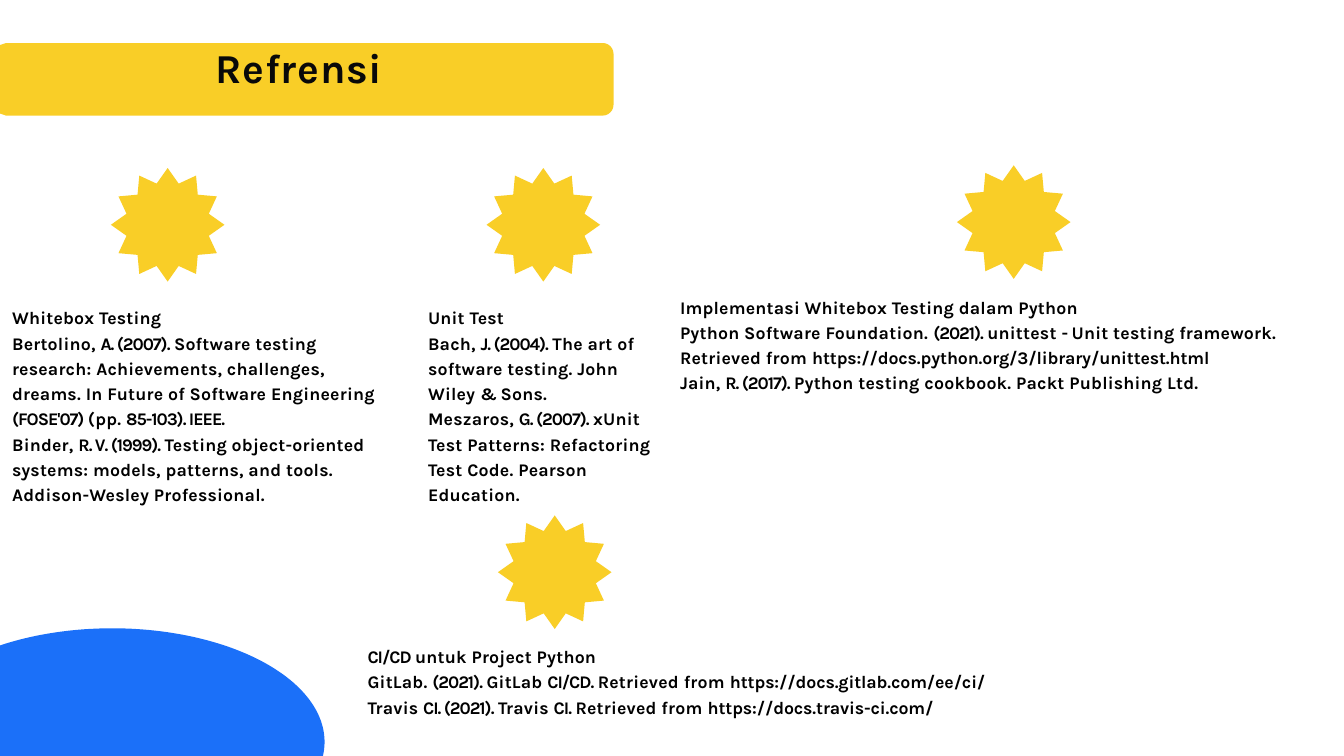
from dataclasses import dataclass
from itertools import groupby
from math import acos, asin, cos, pi, sin

from pptx import Presentation
from pptx.dml.color import RGBColor
from pptx.enum.shapes import MSO_SHAPE as Preset
from pptx.enum.text import MSO_ANCHOR as Anchor, MSO_AUTO_SIZE as AutoSize, PP_ALIGN as Align
from pptx.util import Inches, Pt


@dataclass(frozen=True)
class Theme:
    font: str = "Karla"
    yellow: RGBColor = RGBColor(0xF9, 0xCE, 0x27)
    blue: RGBColor = RGBColor(0x1B, 0x70, 0xF9)
    title_ink: RGBColor = RGBColor(0x09, 0x09, 0x09)
    body_ink: RGBColor = RGBColor(0, 0, 0)
    title_size: int = 44
    body_size: int = 19
    title_spacing: float = 0.75
    word_spacing: float = 0.25
    capital_spacing: float = -1.1
    link_spacing: float = -0.1
    line_spacing: float = 1.19


THEME = Theme()
WIDTH, HEIGHT = 20, 11.25
STAR_SIZE = 1.69

STARS = [(1.65, 2.5), (7.41, 7.67), (7.24, 2.5), (14.24, 2.46)]

REFERENCES = [
    ((0.17, 4.5, 5.85, 3.03), [
        ["Whitebox Testing"],
        ["Bertolino, A. (2007). Software testing",
         "research: Achievements, challenges,",
         "dreams. In Future of Software Engineering",
         "(FOSE'07) (pp. 85-103). IEEE."],
        ["Binder, R. V. (1999). Testing object-oriented"],
        ["systems: models, patterns, and tools.",
         "Addison-Wesley Professional."],
    ]),
    ((6.36, 4.5, 3.59, 3.03), [
        ["Unit Test"],
        ["Bach, J. (2004). The art of",
         "software testing. John",
         "Wiley & Sons."],
        ["Meszaros, G. (2007). xUnit"],
        ["Test Patterns: Refactoring",
         "Test Code. Pearson",
         "Education."],
    ]),
    ((10.11, 4.34, 9.64, 1.53), [
        ["Implementasi Whitebox Testing dalam Python"],
        ["Python Software Foundation. (2021). unittest - Unit testing framework.",
         "Retrieved from https://docs.python.org/3/library/unittest.html"],
        ["Jain, R. (2017). Python testing cookbook. Packt Publishing Ltd."],
    ]),
    ((5.46, 9.54, 10.06, 1.15), [
        ["CI/CD untuk Project Python"],
        ["GitLab. (2021). GitLab CI/CD. Retrieved from https://docs.gitlab.com/ee/ci/"],
        ["Travis CI. (2021). Travis CI. Retrieved from https://docs.travis-ci.com/"],
    ]),
]


def paint(shape, color):
    shape.shadow.inherit = False
    shape.fill.solid()
    shape.fill.fore_color.rgb = color
    shape.line.fill.background()


def arc(center, radii, start, end, steps):
    angles = [start + (end - start) * step / steps for step in range(steps + 1)]
    return [(center[0] + radii[0] * cos(angle), center[1] + radii[1] * sin(angle))
            for angle in angles]


def add_outline(slide, points, color):
    corners = [(Inches(x), Inches(y)) for x, y in points]
    builder = slide.shapes.build_freeform(*corners[0])
    builder.add_line_segments(corners[1:], close=True)
    paint(builder.convert_to_shape(), color)


def add_banner(slide):
    top, bottom, right, radius = 0.64, 1.72, 9.13, 0.16
    upper = arc((right - radius, top + radius), (radius, radius), -pi / 2, 0, 6)
    lower = arc((right - radius, bottom - radius), (radius, radius), 0, pi / 2, 6)
    left_edge = [(0.09, bottom), (0, bottom - 0.03), (0, top + 0.03), (0.09, top)]
    add_outline(slide, upper + lower + left_edge, THEME.yellow)


def add_corner_ellipse(slide):
    center, radii = (1.67, 11.04), (3.16, 1.69)
    start = -acos(-center[0] / radii[0])
    end = asin((HEIGHT - center[1]) / radii[1])
    add_outline(slide, arc(center, radii, start, end, 80) + [(0, HEIGHT)], THEME.blue)


def add_star(slide, left, top):
    star = slide.shapes.add_shape(Preset.STAR_12_POINT, Inches(left), Inches(top),
                                  Inches(STAR_SIZE), Inches(STAR_SIZE))
    paint(star, THEME.yellow)


def prepare_frame(frame, top_inset):
    frame.word_wrap = True
    frame.auto_size = AutoSize.NONE
    frame.vertical_anchor = Anchor.TOP
    frame.margin_left = Inches(0.01)
    frame.margin_right = frame.margin_bottom = 0
    frame.margin_top = Inches(top_inset)


def add_run(paragraph, text, size, color, spacing):
    run = paragraph.add_run()
    run.text = text
    run.font.name = THEME.font
    run.font.size = Pt(size)
    run.font.bold = True
    run.font.color.rgb = color
    run._r.get_or_add_rPr().set("spc", str(round(spacing * 100)))


def spacing_for(word):
    if word.startswith("https:"):
        return THEME.link_spacing
    return THEME.capital_spacing if word == word.upper() else THEME.word_spacing


def add_line(paragraph, line):
    words = [word + " " for word in line.split()]
    words[-1] = words[-1].strip()
    for spacing, group in groupby(words, spacing_for):
        add_run(paragraph, "".join(group), THEME.body_size, THEME.body_ink, spacing)


def add_title(slide):
    title = slide.shapes.title
    slide.shapes._spTree.append(title._element)
    title.left, title.top = Inches(3.2), Inches(0.62)
    title.width, title.height = Inches(2.67), Inches(0.76)
    prepare_frame(title.text_frame, 0.01)
    heading = title.text_frame.paragraphs[0]
    heading.alignment = Align.LEFT
    heading.line_spacing = 1.0
    add_run(heading, "Refrensi", THEME.title_size, THEME.title_ink, THEME.title_spacing)


def add_reference(slide, bounds, paragraphs):
    frame = slide.shapes.add_textbox(*map(Inches, bounds)).text_frame
    prepare_frame(frame, 0.07)
    for index, lines in enumerate(paragraphs):
        paragraph = frame.add_paragraph() if index else frame.paragraphs[0]
        paragraph.alignment = Align.LEFT
        paragraph.line_spacing = THEME.line_spacing if index else 1.0
        for number, line in enumerate(lines):
            if number:
                paragraph.add_line_break()
            add_line(paragraph, line)


def main():
    deck = Presentation()
    deck.slide_width, deck.slide_height = Inches(WIDTH), Inches(HEIGHT)
    slide = deck.slides.add_slide(deck.slide_layouts.get_by_name("Title Only"))
    add_banner(slide)
    add_title(slide)
    for left, top in STARS:
        add_star(slide, left, top)
    for bounds, paragraphs in REFERENCES:
        add_reference(slide, bounds, paragraphs)
    add_corner_ellipse(slide)
    deck.save("out.pptx")


if __name__ == "__main__":
    main()
